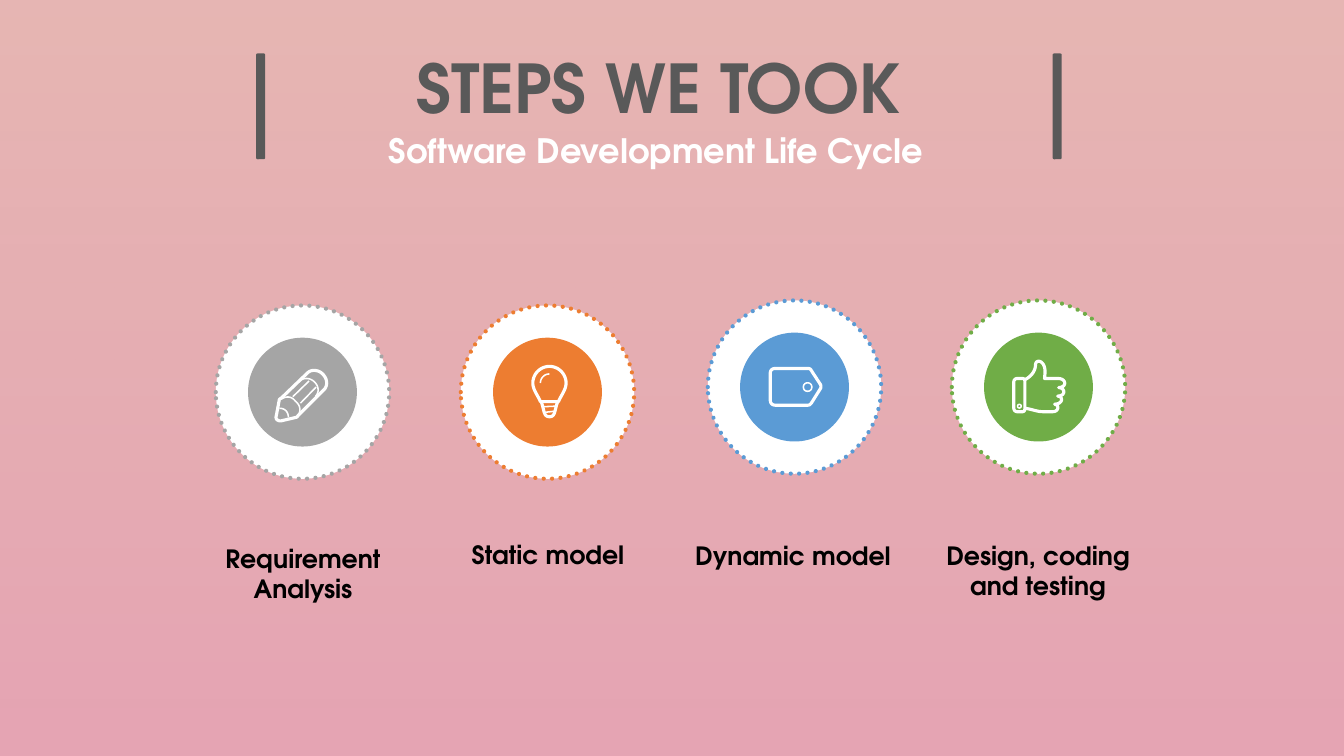
from pptx import Presentation
from pptx.dml.color import RGBColor
from pptx.enum import dml, shapes, text
from pptx.oxml.ns import qn
from pptx.util import Inches, Pt
from lxml import etree

FONT = "TeX Gyre Adventor"
WHITE = RGBColor(0xFF, 0xFF, 0xFF)
BLACK = RGBColor(0, 0, 0)
DARK = RGBColor(0x59, 0x59, 0x59)
GREY = RGBColor(0xA5, 0xA5, 0xA5)
ORANGE = RGBColor(0xED, 0x7D, 0x31)
BLUE = RGBColor(0x5B, 0x9B, 0xD5)
GREEN = RGBColor(0x70, 0xAD, 0x47)
ROSE = RGBColor(0xC7, 0x38, 0x59)
BRICK = RGBColor(0xBF, 0x3E, 0x38)


def ring(x, y, r):
    k = r * 4 / 3
    return [(x - r, y), (x - r, y - k, x + r, y - k, x + r, y),
            (x + r, y + k, x - r, y + k, x - r, y)]


# Icon strokes in hundredths of an inch from the badge centre; six numbers make a cubic curve.
PENCIL = (
    [[(-26, 24), (-23, 8), (-23, 7, -22, 6.5, -21, 6), (5, -19),
      (9, -23, 16, -22, 20, -18), (25, -13, 25, -7, 22, -3), (-4, 23),
      (-5, 24, -5, 24.5, -6, 25), (-21, 28.5), (-24, 29, -27, 27, -26, 24)]],
    [[(-23, 16), (-17, 16, -14, 20, -14, 25)],
     [(-21, 7), (-15, 3, -10, 5, -7, 9), (-2, 13, -1, 19, -5, 24)],
     [(-3, -11), (2, -15, 8, -14, 12, -10), (16, -6, 17, 0, 13, 4)],
     [(-9.5, 4.5), (6.5, -11)], [(-2, 11), (13.5, -5)]])
BULB = (
    [[(-7, 9.5), (-9, 4, -14.5, -2, -14.5, -9), (-14.5, -18, -7, -25.5, 2, -25.5),
      (11, -25.5, 18.5, -18, 18.5, -9), (18.5, -2, 13, 4, 11, 9.5), (-7, 9.5)],
     [(-6, 10), (-3, 18, -4, 24.5, 2, 24.5), (8, 24.5, 7, 18, 10, 10)]],
    [[(-4, 14.5), (8, 14)], [(-2, 20), (7, 19)],
     [(-7, -9), (-7, -14, -3, -18, 2, -18)]])
TAG = (
    [[(13, -18.5), (-19, -18.5), (-22, -18.5, -24, -16.5, -24, -14), (-24, 13),
      (-24, 16, -22, 18, -19, 18), (13, 18), (15, 18, 16, 17, 17, 15.5),
      (25.5, 2), (26.5, 0.5, 26.5, -1.5, 25.5, -3), (17, -16),
      (16, -18, 15, -18.5, 13, -18.5)]],
    [ring(13, 0, 4.2)])
THUMB = (
    [[(-14, -7), (-6, -11, -3, -17, -3, -22), (-3, -28, 6, -27, 6.5, -16),
      (6.5, -12, 6, -11, 6, -8.5), (20, -8.5), (28, -8, 28, 0.5, 20, 0.5),
      (27, 1, 27, 9, 19, 9), (25, 9.5, 24, 17, 16, 17),
      (21, 18, 20, 24.5, 14, 24.5), (5, 24.5), (-2, 24.5, -6, 22, -14, 21)],
     [(-21, -8.5), (-16, -8.5), (-14, -8.5, -13.5, -7, -13.5, -5), (-13.5, 21),
      (-13.5, 23, -14, 24.5, -16, 24.5), (-21, 24.5),
      (-23, 24.5, -24.5, 23, -24.5, 21), (-24.5, -5),
      (-24.5, -7, -23, -8.5, -21, -8.5)]],
    [ring(-19, 19, 1.8)])

STEPS = [
    ("Requirement Analysis", GREY, PENCIL, 2.14, 3.03, 5.34),
    ("Static model", ORANGE, BULB, 4.57, 3.03, 5.3),
    ("Dynamic model", BLUE, TAG, 7.02, 2.98, 5.31),
    ("Design, coding and testing", GREEN, THUMB, 9.44, 2.98, 5.31),
]


def place(sp, x, y, w, h):
    sp.left, sp.top, sp.width, sp.height = map(Inches, (x, y, w, h))


def add_shape(s, kind, x, y, w, h, color=None):
    sp = s.shapes.add_shape(kind, *map(Inches, (x, y, w, h)))
    sp.shadow.inherit = False
    sp.line.fill.background()
    if color is not None:
        sp.fill.solid()
        sp.fill.fore_color.rgb = color
    return sp


def write(sp, words, size, color):
    tf = sp.text_frame
    tf.text = words
    tf.word_wrap = True
    tf.auto_size = text.MSO_AUTO_SIZE.NONE
    tf.vertical_anchor = text.MSO_ANCHOR.TOP
    p = tf.paragraphs[0]
    p.alignment = text.PP_ALIGN.CENTER
    font = p.runs[0].font
    font.name, font.size, font.bold = FONT, Pt(size), True
    font.color.rgb = color


def add_label(s, words, size, color, *box):
    write(s.shapes.add_textbox(*map(Inches, box)), words, size, color)


def add_backdrop(s, w, h):
    sp = add_shape(s, shapes.MSO_SHAPE.RECTANGLE, 0, 0, w, h)
    sp.fill.gradient()
    sp.fill.gradient_angle = 90
    for stop, color, opacity in zip(sp.fill.gradient_stops, (ROSE, BRICK), (46, 38)):
        stop.color.rgb = color
    for node, opacity in zip(sp.element.spPr.iter(qn("a:srgbClr")), (46, 38)):
        etree.SubElement(node, qn("a:alpha")).set("val", str(opacity * 1000))
    s.shapes.element.insert(2, sp.element)


def add_heading(s, x, y, w):
    for bar_x in (x, x + w - 0.09):
        add_shape(s, shapes.MSO_SHAPE.ROUNDED_RECTANGLE, bar_x, y + 0.12, 0.09, 1.05, DARK)
    add_label(s, "Software Development Life Cycle", 24, WHITE, x + 0.39, y + 0.83, 7.15, 0.5)
    title = s.shapes.title
    place(title, x, y, w, 0.91)
    write(title, "STEPS WE TOOK", 48, DARK)


def flatten(stroke):
    points = [stroke[0]]
    for step in stroke[1:]:
        if len(step) == 2:
            points.append(step)
            continue
        nodes = [points[-1], step[:2], step[2:4], step[4:]]
        for i in range(1, 13):
            t = i / 12
            weights = ((1 - t) ** 3, 3 * t * (1 - t) ** 2, 3 * t * t * (1 - t), t ** 3)
            points.append(tuple(sum(k * n[axis] for k, n in zip(weights, nodes))
                                for axis in (0, 1)))
    return points


def add_strokes(s, strokes, cx, cy, width):
    builder = None
    for stroke in strokes:
        points = [(Inches(cx + x / 100), Inches(cy + y / 100)) for x, y in flatten(stroke)]
        if builder is None:
            builder = s.shapes.build_freeform(*points[0])
        else:
            builder.move_to(*points[0])
        builder.add_line_segments(points[1:], close=stroke[0] == stroke[-1][-2:])
    sp = builder.convert_to_shape()
    sp.shadow.inherit = False
    sp.fill.background()
    sp.line.color.rgb = WHITE
    sp.line.width = Pt(width)


def add_badge(s, color, icon, x, y, size):
    outer = add_shape(s, shapes.MSO_SHAPE.OVAL, x, y, size, size, WHITE)
    outer.line.color.rgb = color
    outer.line.width = Pt(3)
    outer.line.dash_style = dml.MSO_LINE.ROUND_DOT
    outer.element.spPr.find(qn("a:ln")).set("cap", "rnd")
    add_shape(s, shapes.MSO_SHAPE.OVAL, x + 0.32, y + 0.32, size - 0.64, size - 0.64, color)
    for strokes, width in zip(icon, (2.25, 1.1)):
        add_strokes(s, strokes, x + size / 2, y + size / 2, width)


def add_steps(s, x, pitch):
    for i, (words, color, icon, badge_x, badge_y, label_y) in enumerate(STEPS):
        add_badge(s, color, icon, badge_x, badge_y, 1.72)
        add_label(s, words, 18, BLACK, x + i * pitch, label_y, 2.15, 0.71)


def main():
    prs = Presentation()
    prs.slide_width, prs.slide_height = Inches(13.33), Inches(7.5)
    s = prs.slides.add_slide(prs.slide_layouts[5])
    add_backdrop(s, 13.33, 7.5)
    add_heading(s, 2.54, 0.41, 7.99)
    add_steps(s, 1.93, 2.43)
    prs.save("out.pptx")


if __name__ == "__main__":
    main()
